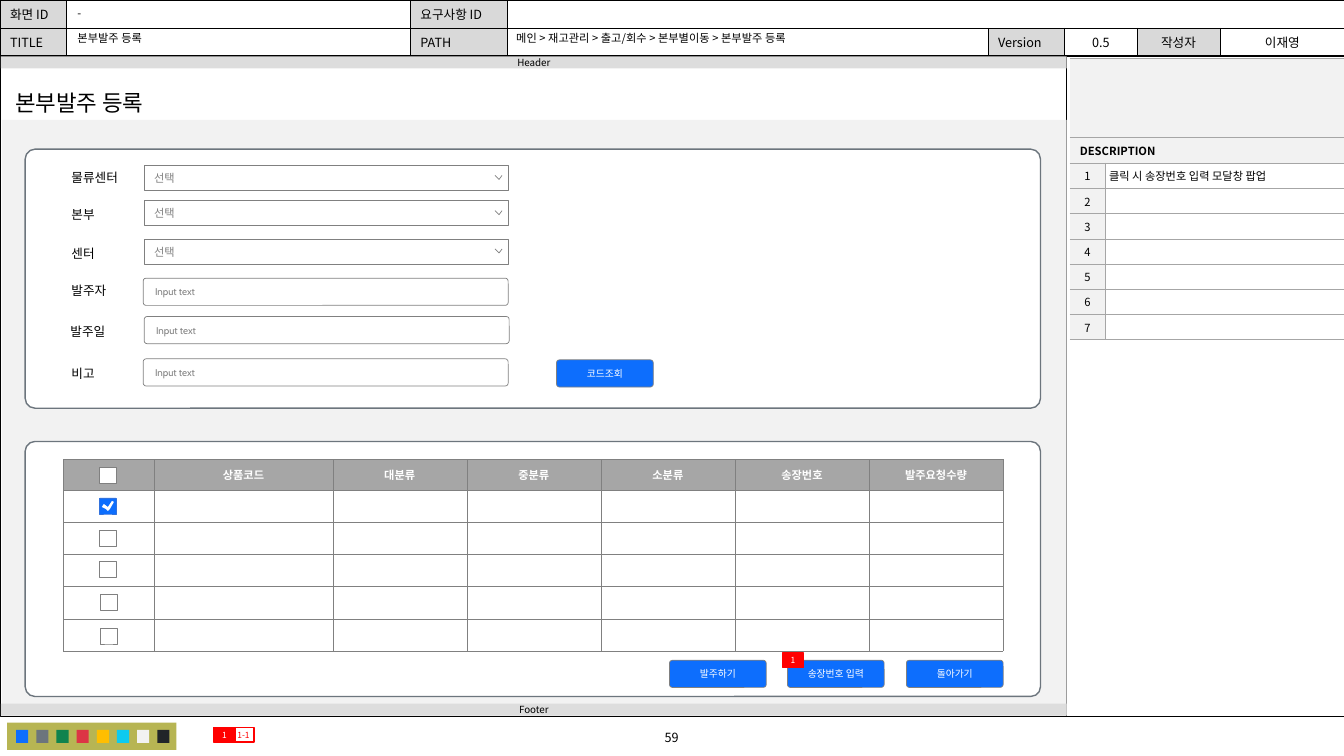
"""Build the head-office order registration wireframe slide."""
from dataclasses import dataclass
from typing import Optional, Sequence

from lxml import etree
from pptx import Presentation
from pptx import util as u
from pptx.dml.color import RGBColor
from pptx.enum import shapes, text
from pptx.oxml import ns


@dataclass(frozen=True)
class Theme:
    main_font: str = "Noto Sans CJK KR"
    field_font: str = "Cabin"
    black: str = "000000"
    white: str = "FFFFFF"
    blue: str = "0D6EFD"
    check_edge: str = "3272DD"
    red: str = "FF0000"
    slate: str = "6C757D"
    edge: str = "808080"
    rule: str = "A6A6A6"
    label_fill: str = "D9D9D9"
    bar: str = "DDDDDD"
    canvas: str = "F2F2F2"
    olive: str = "B7B553"
    palette: tuple = ("0D6EFD", "6C757D", "10834E", "DC3545", "FFBE00", "0DCAF0", "F2F2F2", "212529")
    title_size: int = 16
    label_size: int = 9
    body_size: int = 8
    small_size: int = 7
    tag_size: int = 6


@dataclass(frozen=True)
class Style:
    size: float
    color: str = "000000"
    font: str = "Noto Sans CJK KR"
    bold: bool = False
    centered: bool = False


@dataclass(frozen=True)
class Box:
    left: float
    top: float
    width: float
    height: float

    def lengths(self) -> tuple:
        return tuple(inch(v) for v in (self.left, self.top, self.width, self.height))


@dataclass(frozen=True)
class Field:
    label: str
    label_left: float
    label_top: float
    left: float
    top: float
    is_select: bool


@dataclass(frozen=True)
class Button:
    caption: str
    left: float
    top: float


THEME = Theme()
LABEL = Style(THEME.label_size)
LABEL_CENTERED = Style(THEME.label_size, centered=True)
BODY = Style(THEME.body_size)
BODY_CENTERED = Style(THEME.body_size, centered=True)
BAR = Style(THEME.small_size, centered=True)
FIELDS = (
    Field("물류센터", 0.61, 1.64, 1.43, 1.64, True),
    Field("본부", 0.61, 2.0, 1.43, 1.99, True),
    Field("센터", 0.61, 2.39, 1.43, 2.37, True),
    Field("발주자", 0.61, 2.76, 1.42, 2.76, False),
    Field("발주일", 0.6, 3.16, 1.43, 3.14, False),
    Field("비고", 0.61, 3.58, 1.42, 3.56, False),
)
BUTTONS = (
    Button("코드조회", 5.52, 3.57),
    Button("발주하기", 6.64, 6.55),
    Button("송장번호 입력", 7.81, 6.55),
    Button("돌아가기", 8.99, 6.55),
)


def inch(value: float) -> u.Length:
    return u.Cm(value * 2.54)


def write(holder, paragraph, words: str, style: Style, side: float = 0.1, right: Optional[float] = None) -> None:
    holder.vertical_anchor = text.MSO_ANCHOR.MIDDLE
    holder.margin_left, holder.margin_right = inch(side), inch(side if right is None else right)
    holder.margin_top = holder.margin_bottom = 0
    paragraph.alignment = text.PP_ALIGN.CENTER if style.centered else text.PP_ALIGN.LEFT
    if not words:
        etree.SubElement(paragraph._p, ns.qn("a:endParaRPr"), sz=str(style.size * 100))
        return
    run = paragraph.add_run()
    run.text = words
    run.font.size, run.font.bold = u.Pt(style.size), style.bold
    run.font.color.rgb = RGBColor.from_string(style.color)
    run.font.name = style.font
    etree.SubElement(run._r.get_or_add_rPr(), ns.qn("a:ea"), typeface=THEME.main_font)


def paint(shape, fill: Optional[str], line: Optional[str], width: float) -> None:
    shape.shadow.inherit = False
    if fill:
        shape.fill.solid()
        shape.fill.fore_color.rgb = RGBColor.from_string(fill)
    else:
        shape.fill.background()
    if line:
        shape.line.color.rgb = RGBColor.from_string(line)
        shape.line.width = u.Pt(width)
    else:
        shape.line.fill.background()


def block(slide, box: Box, fill: Optional[str] = None, line: Optional[str] = None, width: float = 0.5,
          radius: Optional[float] = None, words: str = "", style: Style = BAR,
          side: float = 0.0, right: Optional[float] = None) -> None:
    kind = shapes.MSO_SHAPE.RECTANGLE if radius is None else shapes.MSO_SHAPE.ROUNDED_RECTANGLE
    shape = slide.shapes.add_shape(kind, *box.lengths())
    if radius is not None:
        shape.adjustments[0] = radius
    paint(shape, fill, line, width)
    if words:
        shape.text_frame.word_wrap = True
        write(shape.text_frame, shape.text_frame.paragraphs[0], words, style, side, right)


def label(slide, box: Box, words: str, style: Style) -> None:
    frame = slide.shapes.add_textbox(*box.lengths()).text_frame
    frame.word_wrap = True
    write(frame, frame.paragraphs[0], words, style)


def outline(slide, points: Sequence[tuple], closed: bool, line: Optional[str]) -> None:
    corners = [(inch(x), inch(y)) for x, y in points]
    builder = slide.shapes.build_freeform(*corners[0])
    builder.add_line_segments(corners[1:], close=closed)
    paint(builder.convert_to_shape(), THEME.white, line, 0.5)


def grid(slide, left: float, top: float, columns: Sequence[float], rows: Sequence[float]):
    box = Box(left, top, sum(columns), sum(rows))
    table = slide.shapes.add_table(len(rows), len(columns), *box.lengths()).table
    table.first_row = table.horz_banding = False
    for column, width in zip(table.columns, columns):
        column.width = inch(width)
    for row, height in zip(table.rows, rows):
        row.height = inch(height)
    return table


def cell_fill(cell, words: str, style: Style, fill: str, line: str, width: float,
              sides: str = "LRTB", side: float = 0.1) -> None:
    properties = cell._tc.get_or_add_tcPr()
    for edge in "LRTB":
        border = etree.SubElement(properties, ns.qn(f"a:ln{edge}"), w=str(u.Pt(width)))
        if edge in sides:
            solid = etree.SubElement(border, ns.qn("a:solidFill"))
            etree.SubElement(solid, ns.qn("a:srgbClr"), val=line)
        else:
            etree.SubElement(border, ns.qn("a:noFill"))
    cell.fill.solid()
    cell.fill.fore_color.rgb = RGBColor.from_string(fill)
    write(cell, cell.text_frame.paragraphs[0], words, style, side)


def draw_page_frame(slide) -> None:
    info = (("화면 ID", "", "요구사항 ID", "", "", "", "", ""),
            ("TITLE", "", "PATH", "", "Version", "0.5", "작성자", "이재영"))
    table = grid(slide, 0, 0, (0.66, 3.41, 0.96, 4.77, 0.76, 0.72, 0.82, 1.24), (0.28, 0.28))
    for r, row in enumerate(info):
        for c, words in enumerate(row):
            fill = THEME.label_fill if c % 2 == 0 and words else THEME.white
            cell_fill(table.cell(r, c), words, LABEL_CENTERED if c > 4 else LABEL, fill, THEME.black, 0.5)
    table.cell(0, 3).merge(table.cell(0, 7))
    block(slide, Box(0, 0.55, 13.33, 6.56), line=THEME.black, width=0.25)
    label(slide, Box(5.37, 7.19, 2.58, 0.25), "59", LABEL_CENTERED)
    divider = slide.shapes.add_connector(
        shapes.MSO_CONNECTOR.STRAIGHT, inch(10.58), inch(0.56), inch(10.58), inch(7.11))
    divider.line.color.rgb = RGBColor.from_string(THEME.black)
    divider.line.width = u.Pt(0.5)
    etree.SubElement(divider._element.spPr, ns.qn("a:effectLst"))
    block(slide, Box(0.07, 7.17, 1.68, 0.27), THEME.olive)
    for i, color in enumerate(THEME.palette):
        block(slide, Box(0.16 + 0.2 * i, 7.24, 0.12, 0.13), color)
    block(slide, Box(0.02, 1.19, 10.56, 5.91), THEME.canvas)
    for words, top in (("Footer", 6.98), ("Header", 0.56)):
        block(slide, Box(0.01, top, 10.57, 0.12), THEME.bar, words=words)
    label(slide, Box(0.67, 0.01, 3.4, 0.23), "-", BODY)
    label(slide, Box(0.67, 0.28, 3.38, 0.2), "본부발주 등록", BODY)


def draw_description(slide) -> None:
    table = grid(slide, 10.61, 0.58, (0.35, 2.37), (0.78, 0.26) + (0.25,) * 7)
    heading = Style(THEME.body_size, bold=True)
    for r, words in enumerate(("", "DESCRIPTION")):
        for c in range(2):
            cell_fill(table.cell(r, c), "" if c else words, heading, THEME.canvas, THEME.rule, 0.5, "TB")
        table.cell(r, 0).merge(table.cell(r, 1))
    for number in range(1, 8):
        note = "클릭 시 송장번호 입력 모달창 팝업" if number == 1 else ""
        cell_fill(table.cell(number + 1, 0), str(number), BODY_CENTERED, THEME.canvas, THEME.rule, 0.5, "RTB", 0)
        cell_fill(table.cell(number + 1, 1), note, BODY, THEME.white, THEME.rule, 0.5, "LRTB", 0.04)


def draw_form(slide) -> None:
    block(slide, Box(0.25, 1.48, 10.07, 2.57), THEME.white, THEME.slate, 1, 0.038)
    select = Style(THEME.body_size, THEME.edge, THEME.field_font)
    entry = Style(THEME.small_size, THEME.edge, THEME.field_font)
    for f in FIELDS:
        label(slide, Box(f.label_left, f.label_top, 0.75, 0.25), f.label, LABEL)
        if f.is_select:
            block(slide, Box(f.left, f.top, 3.61, 0.25), THEME.white, THEME.edge,
                  words="선택", style=select, side=0.1, right=0.28)
            outline(slide, ((4.98, f.top + 0.1), (4.95, f.top + 0.14), (4.91, f.top + 0.1)), False, THEME.edge)
        else:
            block(slide, Box(f.left, f.top, 3.62, 0.27), THEME.white, THEME.edge, radius=0.108,
                  words="Input text", style=entry, side=0.11)


def draw_orders(slide) -> None:
    block(slide, Box(0.25, 4.38, 10.07, 2.53), THEME.white, THEME.slate, 1, 0.038)
    headings = ("", "상품코드", "대분류", "중분류", "소분류", "송장번호", "발주요청수량")
    heading = Style(THEME.body_size, THEME.white, bold=True, centered=True)
    table = grid(slide, 0.63, 4.56, (0.9, 1.77) + (1.33,) * 5, (0.3,) + (0.32,) * 5)
    for r in range(6):
        for c, words in enumerate(headings):
            cell_fill(table.cell(r, c), "" if r else words, heading, THEME.white if r else THEME.rule,
                      THEME.edge, 0.25, side=0.06)
    for left, top in ((0.99, 4.64), (0.99, 5.26), (0.99, 5.57), (1, 5.9), (1, 6.23)):
        block(slide, Box(left, top, 0.16, 0.16), THEME.white, THEME.edge)
    block(slide, Box(0.99, 4.94, 0.16, 0.16), THEME.blue, THEME.check_edge)
    outline(slide, ((1.11, 4.97), (1.07, 5.03), (1.03, 5), (1.01, 5.03), (1.05, 5.05),
                    (1.07, 5.07), (1.09, 5.05), (1.13, 4.98)), True, None)


def draw_buttons_and_tags(slide) -> None:
    caption = Style(THEME.small_size, THEME.white, THEME.field_font, centered=True)
    for button in BUTTONS:
        block(slide, Box(button.left, button.top, 0.96, 0.27), THEME.blue, THEME.edge, radius=0.108,
              words=button.caption, style=caption, side=0.05)
    for words, left, top, fill, color in (("1-1", 2.31, 7.22, None, THEME.red),
                                          ("1", 2.12, 7.22, THEME.red, THEME.white),
                                          ("1", 7.76, 6.48, THEME.red, THEME.white)):
        block(slide, Box(left, top, 0.21, 0.14), fill, THEME.red, 1, words=words,
              style=Style(THEME.tag_size, color, centered=True))


def place(placeholder, box: Box, words: str, style: Style) -> None:
    placeholder.left, placeholder.top, placeholder.width, placeholder.height = box.lengths()
    frame = placeholder.text_frame
    frame.auto_size, frame.word_wrap = text.MSO_AUTO_SIZE.NONE, True
    paragraph = frame.paragraphs[0]
    properties = paragraph._p.get_or_add_pPr()
    properties.set("marL", "0")
    properties.set("indent", "0")
    etree.SubElement(properties, ns.qn("a:buNone"))
    paragraph.space_before = u.Pt(0)
    write(frame, paragraph, words, style)
    placeholder.element.getparent().append(placeholder.element)


def main() -> None:
    deck = Presentation()
    deck.slide_width, deck.slide_height = inch(13.33), inch(7.5)
    slide = deck.slides.add_slide(deck.slide_layouts[1])
    heading, menu_trail = slide.shapes.title, slide.placeholders[1]
    for draw in (draw_page_frame, draw_description, draw_form, draw_orders, draw_buttons_and_tags):
        draw(slide)
    place(heading, Box(0.05, 0.83, 1.62, 0.37), "본부발주 등록", Style(THEME.title_size))
    place(menu_trail, Box(5.02, 0.26, 4.74, 0.23), "메인 > 재고관리 > 출고/회수 > 본부별이동 > 본부발주 등록", BODY)
    deck.save("out.pptx")


if __name__ == "__main__":
    main()
